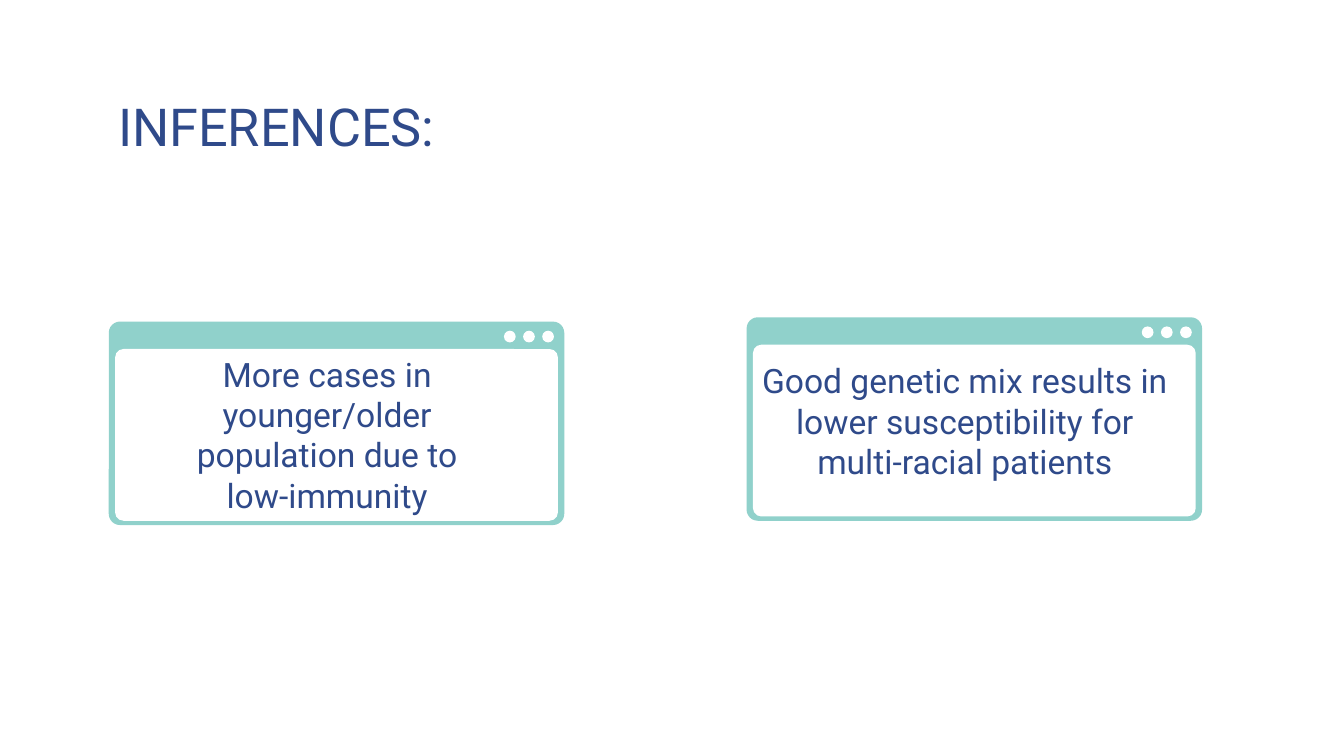
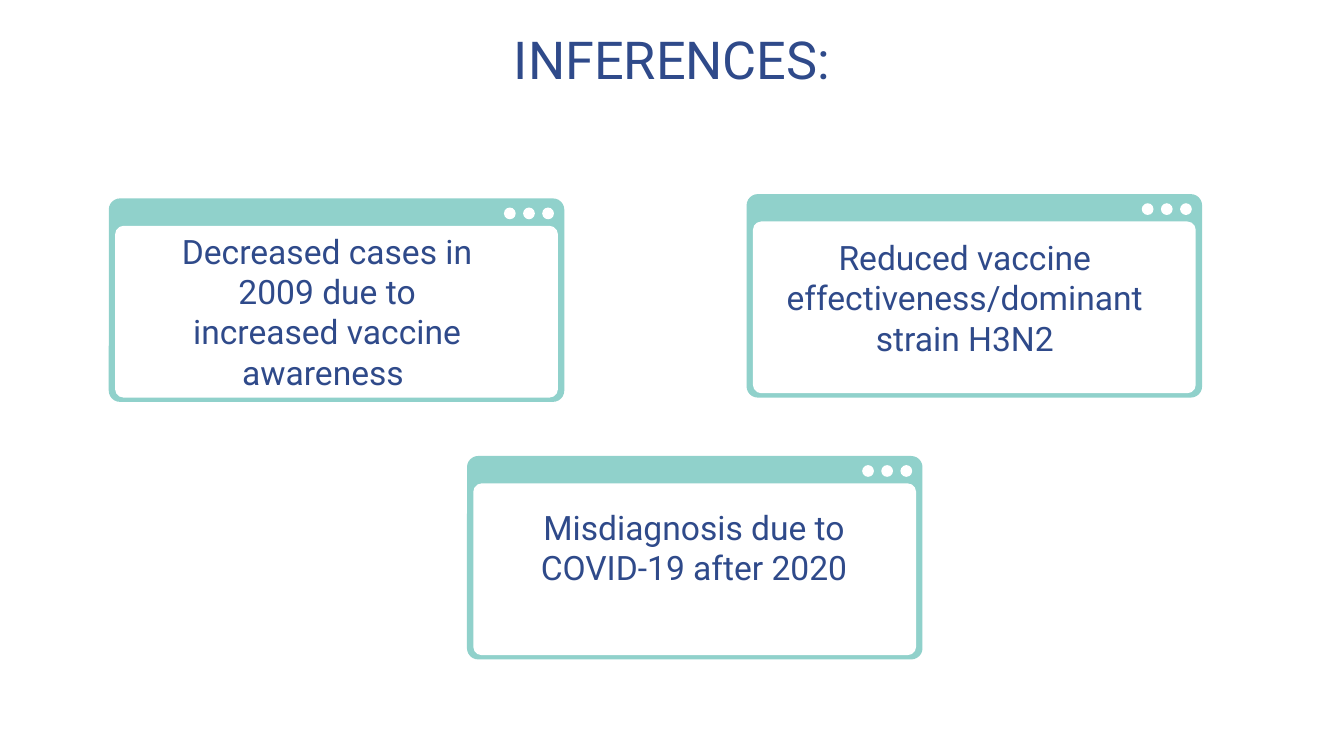
import pptx
import pptx.util
import pptx.dml.color
import pptx.enum.shapes
import pptx.enum.text
from dataclasses import dataclass

Pt = pptx.util.Pt
Shape = pptx.enum.shapes.MSO_SHAPE
Align = pptx.enum.text.PP_ALIGN


# Colours, font and type sizes
@dataclass(frozen=True)
class Theme:
    ink: str = "2F4A8A"
    teal: str = "90D1CB"
    white: str = "FFFFFF"
    font: str = "Roboto"
    title: float = 28
    body: float = 18
    inset: float = 7.2


THEME = Theme()

# Window frame, and the caption box (left, top, width, height) inside it
FRAME = (244, 109)
LEFT = (27.3, 10, 179.3, 93)
RIGHT = (1, 15.8, 231.8, 80)
BASE = (32, 20, 179.3, 36.7)


def color(code):
    return pptx.dml.color.RGBColor.from_string(code)


def add_text(slide, text, box, size, align):
    frame = slide.shapes.add_textbox(*map(Pt, box)).text_frame
    frame.word_wrap = True
    frame.vertical_anchor = pptx.enum.text.MSO_ANCHOR.TOP
    frame.margin_left = frame.margin_right = Pt(THEME.inset)
    frame.margin_top = frame.margin_bottom = Pt(THEME.inset)
    para = frame.paragraphs[0]
    para.alignment = align
    run = para.add_run()
    run.text = text
    run.font.name = THEME.font
    run.font.size = Pt(size)
    run.font.color.rgb = color(THEME.ink)


def add_title(slide, text, top, align):
    add_text(slide, text, (56.2, top, 607.7, 36.7), THEME.title, align)


def add_part(group, kind, box, fill, radius=None):
    part = group.shapes.add_shape(kind, *map(Pt, box))
    part.shadow.inherit = False
    part.fill.solid()
    part.fill.fore_color.rgb = color(fill)
    part.line.fill.background()
    if radius:
        part.adjustments[0] = radius / min(box[2:])


def add_window(slide, x, y):
    group = slide.shapes.add_group_shape()
    wide, high = FRAME
    # Frame and page
    add_part(group, Shape.ROUNDED_RECTANGLE, (x, y, wide, high),
             THEME.teal, 6)
    add_part(group, Shape.ROUNDED_RECTANGLE,
             (x + 3.4, y + 14.7, wide - 6.8, 92), THEME.white, 4.5)
    # Three buttons in the top bar
    for i in range(3):
        add_part(group, Shape.OVAL,
                 (x + 211.7 + 10.25 * i, y + 4.9, 6.3, 6.3), THEME.white)


def add_cards(slide, cards):
    for x, y, _, _ in cards:
        add_window(slide, x, y)
    for x, y, (dx, dy, wide, high), text in cards:
        add_text(slide, text, (x + dx, y + dy, wide, high),
                 THEME.body, Align.CENTER)


def add_slide(deck):
    slide = deck.slides.add_slide(deck.slide_layouts[6])
    slide.background.fill.solid()
    slide.background.fill.fore_color.rgb = color(THEME.white)
    return slide


def main():
    deck = pptx.Presentation()
    deck.slide_width, deck.slide_height = Pt(720), Pt(405)

    # Slide 1: patients
    slide = add_slide(deck)
    add_title(slide, "INFERENCES:", 43.2, Align.LEFT)
    add_cards(slide, [
        (58.3, 172.3, LEFT,
         "More cases in younger/older population due to low-immunity"),
        (400, 170, RIGHT, "Good genetic mix results in lower "
         "susceptibility for multi-racial patients"),
    ])

    # Slide 2: vaccines and diagnosis
    slide = add_slide(deck)
    add_title(slide, "INFERENCES:", 7.2, Align.CENTER)
    add_cards(slide, [
        (58.3, 106.3, LEFT,
         "Decreased cases in 2009 due to increased vaccine awareness "),
        (400, 104, RIGHT,
         "Reduced vaccine effectiveness/dominant strain H3N2"),
        (250.2, 244.3, BASE, "Misdiagnosis due to COVID-19 after 2020"),
    ])

    deck.save("out.pptx")


if __name__ == "__main__":
    main()
